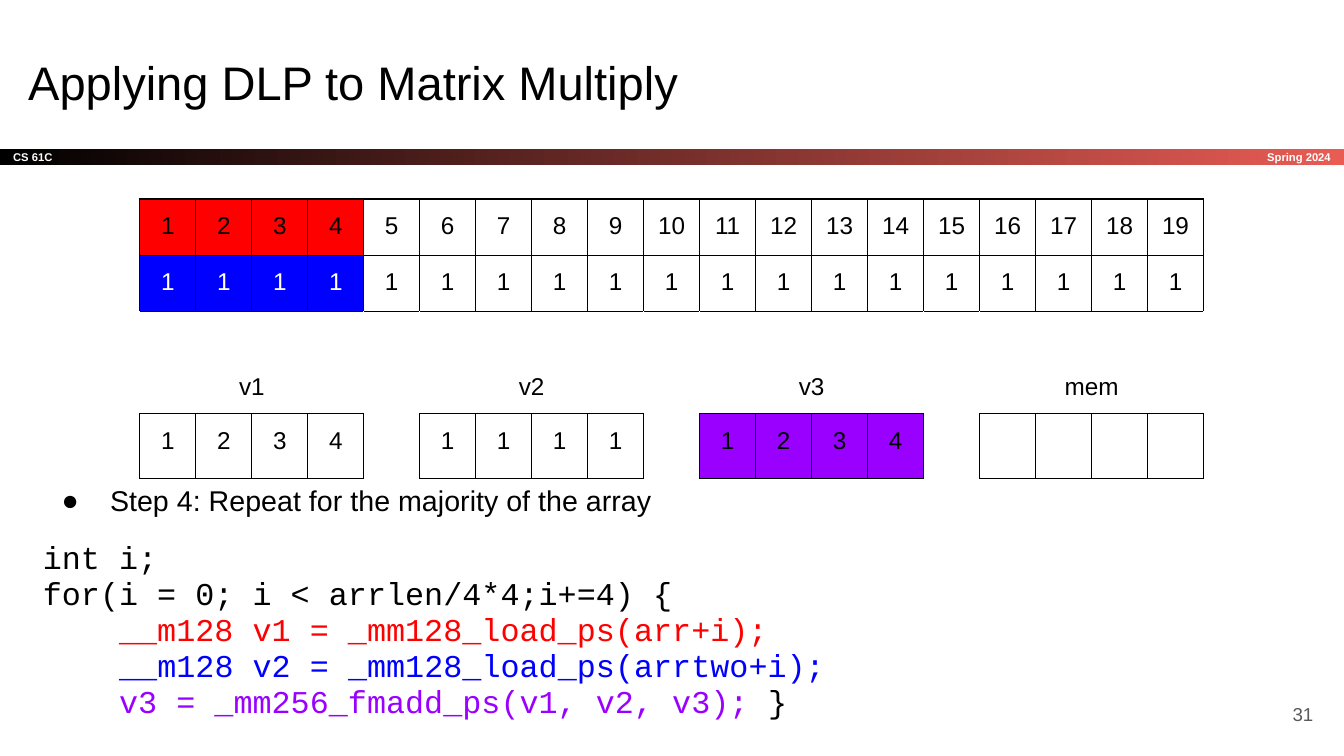
from dataclasses import dataclass

from lxml import etree
from pptx import Presentation
from pptx.dml.color import RGBColor
from pptx.enum.shapes import MSO_SHAPE
from pptx.enum.text import MSO_ANCHOR, MSO_AUTO_SIZE, PP_ALIGN
from pptx.oxml.ns import qn
from pptx.util import Inches, Pt

LEFT, CENTER, RIGHT = PP_ALIGN.LEFT, PP_ALIGN.CENTER, PP_ALIGN.RIGHT
TOP, MIDDLE, BOTTOM = MSO_ANCHOR.TOP, MSO_ANCHOR.MIDDLE, MSO_ANCHOR.BOTTOM
RECTANGLE = MSO_SHAPE.RECTANGLE
NO_AUTOFIT = MSO_AUTO_SIZE.NONE

BLACK, WHITE, GRAY = "000000", "FFFFFF", "595959"
RED, BLUE, PURPLE, CORAL = "FF0000", "0000FF", "9900FF", "E85C54"
SANS, MONO = "Arial", "Courier New"
PAGE_WIDTH = 10
PAGE_HEIGHT = PAGE_WIDTH * 9 / 16
COLUMNS = 19
LANES = 4
TABLE_WIDTH = 7.92
ROW_HEIGHTS = (0.42, 0.42, 0.76, 0.48)
CELL_SIZE = 13


@dataclass
class Span:
    text: str
    color: str = BLACK


@dataclass
class Register:
    name: str
    values: tuple[str, ...]
    fill: str = WHITE


REGISTERS = (
    Register("v1", ("1", "2", "3", "4")),
    Register("v2", ("1",) * LANES),
    Register("v3", ("1", "2", "3", "4"), PURPLE),
    Register("mem", ("",) * LANES),
)

CODE_LINES = (
    (Span("int i;"),),
    (Span("for(i = 0; i < arrlen/4*4;i+=4) {"),),
    (Span("    __m128 v1 = _mm128_load_ps(arr+i);", RED),),
    (Span("    ", PURPLE), Span("__m128 v2 = _mm128_load_ps(arrtwo+i);", BLUE)),
    (Span("    v3 = _mm256_fmadd_ps(v1, v2, v3); ", PURPLE), Span("}")),
)


def rgb(color: str) -> RGBColor:
    return RGBColor.from_string(color)


def add_span(para, span: Span, size: float, font: str = SANS, bold: bool = False) -> None:
    run = para.add_run()
    run.text = span.text
    run.font.name = font
    run.font.size = Pt(size)
    run.font.bold = bold
    run.font.color.rgb = rgb(span.color)


def place(box, left: float, top: float, width: float, height: float) -> None:
    box.left, box.top = Inches(left), Inches(top)
    box.width, box.height = Inches(width), Inches(height)


def set_frame(box, anchor) -> None:
    frame = box.text_frame
    frame.word_wrap = True
    frame.auto_size = NO_AUTOFIT
    frame.vertical_anchor = anchor
    frame.margin_left = frame.margin_right = Inches(0.1)
    frame.margin_top = frame.margin_bottom = Inches(0.1)


def add_box(page, left: float, top: float, width: float, height: float, anchor=MIDDLE):
    box = page.shapes.add_textbox(
        Inches(left), Inches(top), Inches(width), Inches(height)
    )
    set_frame(box, anchor)
    return box


def add_label(box, span: Span, size: float, align, bold: bool = False) -> None:
    para = box.text_frame.paragraphs[0]
    para.alignment = align
    add_span(para, span, size, bold=bold)


def draw_title(page) -> None:
    title = page.shapes.title
    place(title, 0.11, 0.3, 9.32, 0.63)
    set_frame(title, TOP)
    add_label(title, Span("Applying DLP to Matrix Multiply"), 25.2, LEFT)


def draw_course_bar(page) -> None:
    bar = page.shapes.add_shape(
        RECTANGLE, Inches(0), Inches(1.11), Inches(PAGE_WIDTH), Inches(0.12)
    )
    bar.shadow.inherit = False
    bar.line.fill.background()
    bar.fill.gradient()
    bar.fill.gradient_angle = 0
    for stop, color in zip(bar.fill.gradient_stops, (BLACK, CORAL)):
        stop.color.rgb = rgb(color)
    set_frame(bar, MIDDLE)
    add_label(bar, Span("CS 61C", WHITE), 6, LEFT, bold=True)
    term = add_box(page, 8.34, 1.11, 1.66, 0.12)
    add_label(term, Span("Spring 2024", WHITE), 6, RIGHT, bold=True)


def set_borders(cell, sides: str, top: str, bottom: str) -> None:
    properties = cell._tc.get_or_add_tcPr()
    for tag, color in zip("LRTB", (sides, sides, top, bottom)):
        line = etree.SubElement(properties, qn(f"a:ln{tag}"), w=str(Pt(0.75)))
        fill = etree.SubElement(line, qn("a:solidFill"))
        etree.SubElement(fill, qn("a:srgbClr"), val=color)


def fill_cell(
    cell,
    text: str = "",
    fill: str = WHITE,
    color: str = BLACK,
    sides: str = BLACK,
    top: str = BLACK,
    bottom: str = BLACK,
    anchor=TOP,
) -> None:
    set_borders(cell, sides, top, bottom)
    cell.fill.solid()
    cell.fill.fore_color.rgb = rgb(fill)
    cell.vertical_anchor = anchor
    cell.margin_left = cell.margin_right = Inches(0.1)
    cell.margin_top = cell.margin_bottom = Inches(0.1)
    para = cell.text_frame.paragraphs[0]
    if text:
        para.alignment = CENTER
        add_span(para, Span(text, color), CELL_SIZE)
    else:
        etree.SubElement(para._p, qn("a:endParaRPr"), sz=str(CELL_SIZE * 100))


def draw_vectors(page) -> None:
    table = page.shapes.add_table(
        len(ROW_HEIGHTS), COLUMNS, Inches(1.04), Inches(1.48),
        Inches(TABLE_WIDTH), Inches(sum(ROW_HEIGHTS)),
    ).table
    table.first_row = table.horz_banding = False
    for column in table.columns:
        column.width = Inches(TABLE_WIDTH / COLUMNS)
    for row, height in zip(table.rows, ROW_HEIGHTS):
        row.height = Inches(height)

    for index in range(COLUMNS):
        loaded = index < LANES
        fill_cell(table.cell(0, index), str(index + 1), RED if loaded else WHITE)
        fill_cell(
            table.cell(1, index), "1",
            BLUE if loaded else WHITE, WHITE if loaded else BLACK,
        )

    for number, register in enumerate(REGISTERS):
        start = number * (LANES + 1)
        end = start + LANES
        for lane, value in enumerate(register.values):
            name = register.name if lane == 0 else ""
            fill_cell(table.cell(2, start + lane), name, sides=WHITE, anchor=BOTTOM)
            fill_cell(table.cell(3, start + lane), value, register.fill)
        table.cell(2, start).merge(table.cell(2, end - 1))
        if end < COLUMNS:
            fill_cell(table.cell(2, end), sides=WHITE, bottom=WHITE)
            fill_cell(table.cell(3, end), top=WHITE, bottom=WHITE)


def draw_body(page) -> None:
    frame = add_box(page, 0.22, 3.51, 9.32, 1.97, TOP).text_frame
    step = frame.paragraphs[0]
    step.line_spacing = 0.95
    properties = step._p.get_or_add_pPr()
    properties.set("marL", str(Inches(0.5)))
    properties.set("indent", str(Inches(-0.36)))
    bullet_color = etree.SubElement(properties, qn("a:buClr"))
    etree.SubElement(bullet_color, qn("a:srgbClr"), val=BLACK)
    etree.SubElement(properties, qn("a:buFont"), typeface=SANS)
    etree.SubElement(properties, qn("a:buChar"), char="●")
    add_span(step, Span("Step 4: Repeat for the majority of the array"), 15.3)

    code = frame.add_paragraph()
    code.line_spacing = 0.95
    code.space_before = code.space_after = Pt(12)
    for number, line in enumerate(CODE_LINES):
        if number:
            code.add_line_break()
        for span in line:
            add_span(code, span, 17, MONO)


def main() -> None:
    deck = Presentation()
    deck.slide_width, deck.slide_height = Inches(PAGE_WIDTH), Inches(PAGE_HEIGHT)
    page = deck.slides.add_slide(deck.slide_layouts[5])
    draw_course_bar(page)
    draw_title(page)
    draw_body(page)
    draw_vectors(page)
    add_label(add_box(page, 9.27, 5.1, 0.6, 0.43), Span("31", GRAY), 10, RIGHT)
    deck.save("out.pptx")


if __name__ == "__main__":
    main()
